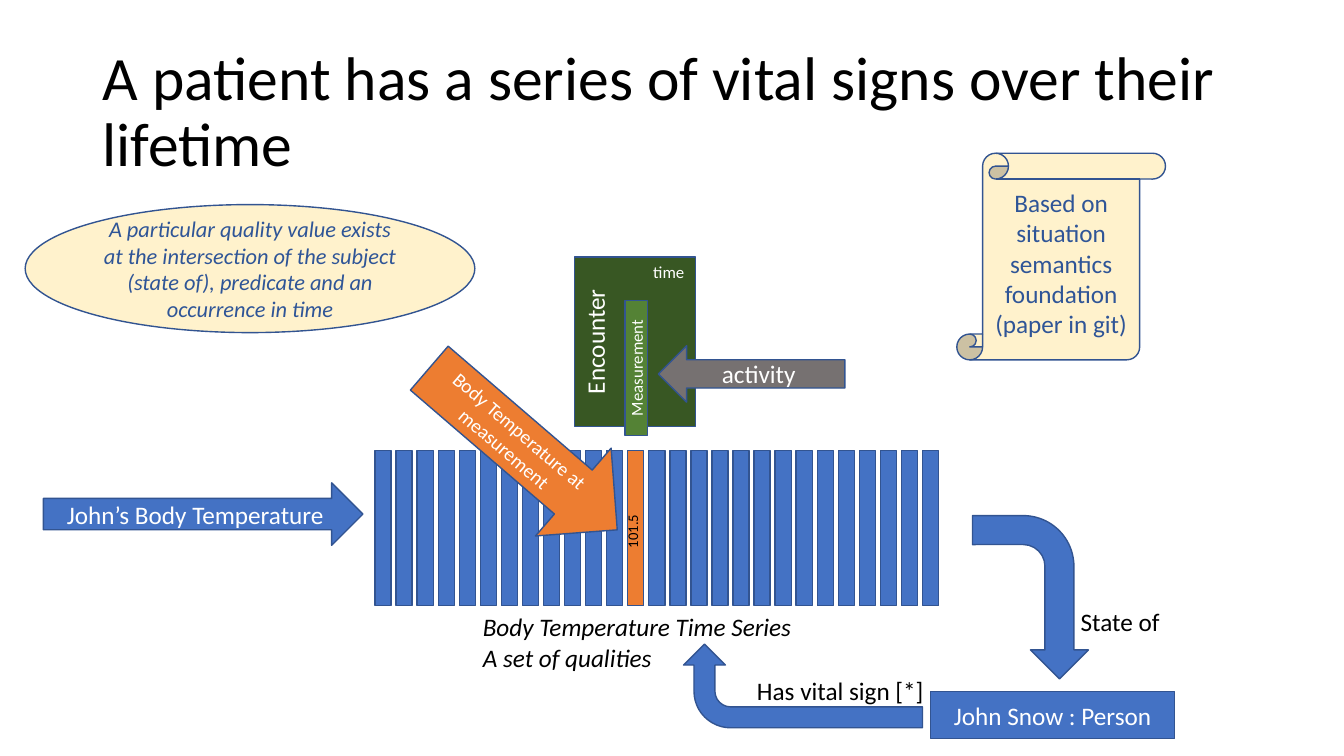
from pptx import Presentation
from pptx.dml.color import RGBColor
from pptx.enum import shapes, text
from pptx.util import Inches, Pt

BLACK = RGBColor(0x00, 0x00, 0x00)
WHITE = RGBColor(0xFF, 0xFF, 0xFF)
BLUE = RGBColor(0x44, 0x72, 0xC4)
OUTLINE = RGBColor(0x32, 0x54, 0x91)
ORANGE = RGBColor(0xED, 0x7D, 0x31)
DARK_GREEN = RGBColor(0x38, 0x57, 0x23)
GREEN = RGBColor(0x54, 0x82, 0x35)
GRAY = RGBColor(0x76, 0x71, 0x71)
CREAM = RGBColor(0xFF, 0xF2, 0xCC)
NAVY = RGBColor(0x2F, 0x55, 0x97)

KIND = shapes.MSO_SHAPE
MIDDLE = text.MSO_ANCHOR.MIDDLE
TOP = text.MSO_ANCHOR.TOP

BAR_COUNT = 27
MEASURED_BAR = 12
BAR_LEFT, BAR_RIGHT = 3.72, 9.15
BAR_PITCH = (BAR_RIGHT - BAR_LEFT) / (BAR_COUNT - 1)


class SlideBuilder:
    font = "Calibri"

    def __init__(self, slide):
        self.slide = slide

    def add_lines(self, shape, lines, size, color, italic, anchor, alignment):
        frame = shape.text_frame
        frame.vertical_anchor = anchor
        for index, line in enumerate(lines):
            paragraph = frame.add_paragraph() if index else frame.paragraphs[0]
            paragraph.alignment = alignment
            run = paragraph.add_run()
            run.text = line
            run.font.name = self.font
            run.font.size = Pt(size)
            run.font.italic = italic
            run.font.color.rgb = color

    def shape(self, kind, left, top, width, height, fill=BLUE, lines=(), size=18,
              color=WHITE, italic=False, anchor=MIDDLE, rotation=0):
        shape = self.slide.shapes.add_shape(
            kind, Inches(left), Inches(top), Inches(width), Inches(height))
        shape.shadow.inherit = False
        shape.rotation = rotation
        shape.fill.solid()
        shape.fill.fore_color.rgb = fill
        shape.line.color.rgb = OUTLINE
        shape.line.width = Pt(1)
        self.add_lines(shape, lines, size, color, italic, anchor, text.PP_ALIGN.CENTER)

    def label(self, left, top, width, height, lines, size=18, color=BLACK,
              italic=False, wrap=False, rotation=0):
        box = self.slide.shapes.add_textbox(
            Inches(left), Inches(top), Inches(width), Inches(height))
        box.rotation = rotation
        box.text_frame.word_wrap = wrap
        box.text_frame.auto_size = text.MSO_AUTO_SIZE.SHAPE_TO_FIT_TEXT
        self.add_lines(box, lines, size, color, italic, TOP, text.PP_ALIGN.LEFT)

    def title(self, line):
        box = self.slide.shapes.add_textbox(
            Inches(0.92), Inches(0.4), Inches(11.5), Inches(1.45))
        box.text_frame.word_wrap = True
        self.add_lines(box, [line], 44, BLACK, False, MIDDLE, text.PP_ALIGN.LEFT)
        box.text_frame.paragraphs[0].line_spacing = 0.9

    def time_series(self):
        for index in range(BAR_COUNT):
            fill = ORANGE if index == MEASURED_BAR else BLUE
            self.shape(KIND.RECTANGLE, BAR_LEFT + index * BAR_PITCH, 4.47,
                       0.16, 1.54, fill)


def main():
    presentation = Presentation()
    presentation.slide_width = Inches(13.33)
    presentation.slide_height = Inches(7.5)
    builder = SlideBuilder(presentation.slides.add_slide(presentation.slide_layouts[6]))

    builder.title("A patient has a series of vital signs over their lifetime")
    builder.time_series()
    builder.shape(KIND.RIGHT_ARROW, 0.43, 4.79, 3.17, 0.62,
                  lines=["John’s Body Temperature"])
    builder.label(4.69, 6.02, 3.29, 0.71,
                  ["Body Temperature Time Series", "A set of qualities"], italic=True)

    builder.shape(KIND.RECTANGLE, 5.46, 2.79, 1.68, 1.2, DARK_GREEN, ["Encounter"],
                  anchor=TOP, rotation=270)
    builder.shape(KIND.RECTANGLE, 5.64, 3.54, 1.34, 0.22, GREEN, ["Measurement"],
                  size=12, rotation=270)
    builder.shape(KIND.RIGHT_ARROW, 3.96, 3.88, 2.46, 1.15, ORANGE,
                  ["Body Temperature at measurement"], size=14, rotation=40.7)
    builder.label(5.85, 4.96, 0.86, 0.29, ["101.5"], size=10.5, wrap=True, rotation=270)
    builder.shape(KIND.LEFT_ARROW, 6.53, 3.43, 1.85, 0.56, GRAY, ["activity"])

    builder.shape(KIND.RECTANGLE, 9.23, 6.86, 2.42, 0.47, lines=["John Snow : Person"])
    builder.shape(KIND.BENT_ARROW, 9.41, 5.35, 1.62, 1.15, rotation=90)
    builder.label(10.62, 5.97, 0.99, 0.4, ["State of"])
    builder.shape(KIND.BENT_ARROW, 7.55, 5.62, 0.83, 2.37, rotation=270)
    builder.label(7.41, 6.65, 1.87, 0.4, ["Has vital sign [*]"])

    builder.shape(KIND.OVAL, 0.25, 2.03, 4.46, 1.27, CREAM,
                  ["A particular quality value exists at the intersection of the subject "
                   "(state of), predicate and an occurrence in time"],
                  size=16, color=NAVY, italic=True)
    builder.label(6.38, 2.55, 0.52, 0.3, ["time"], size=12, color=WHITE)
    builder.shape(KIND.VERTICAL_SCROLL, 9.49, 1.52, 2.07, 2.05, CREAM,
                  ["Based on situation semantics foundation", "(paper in git)"], color=NAVY)

    presentation.save("out.pptx")


if __name__ == "__main__":
    main()
